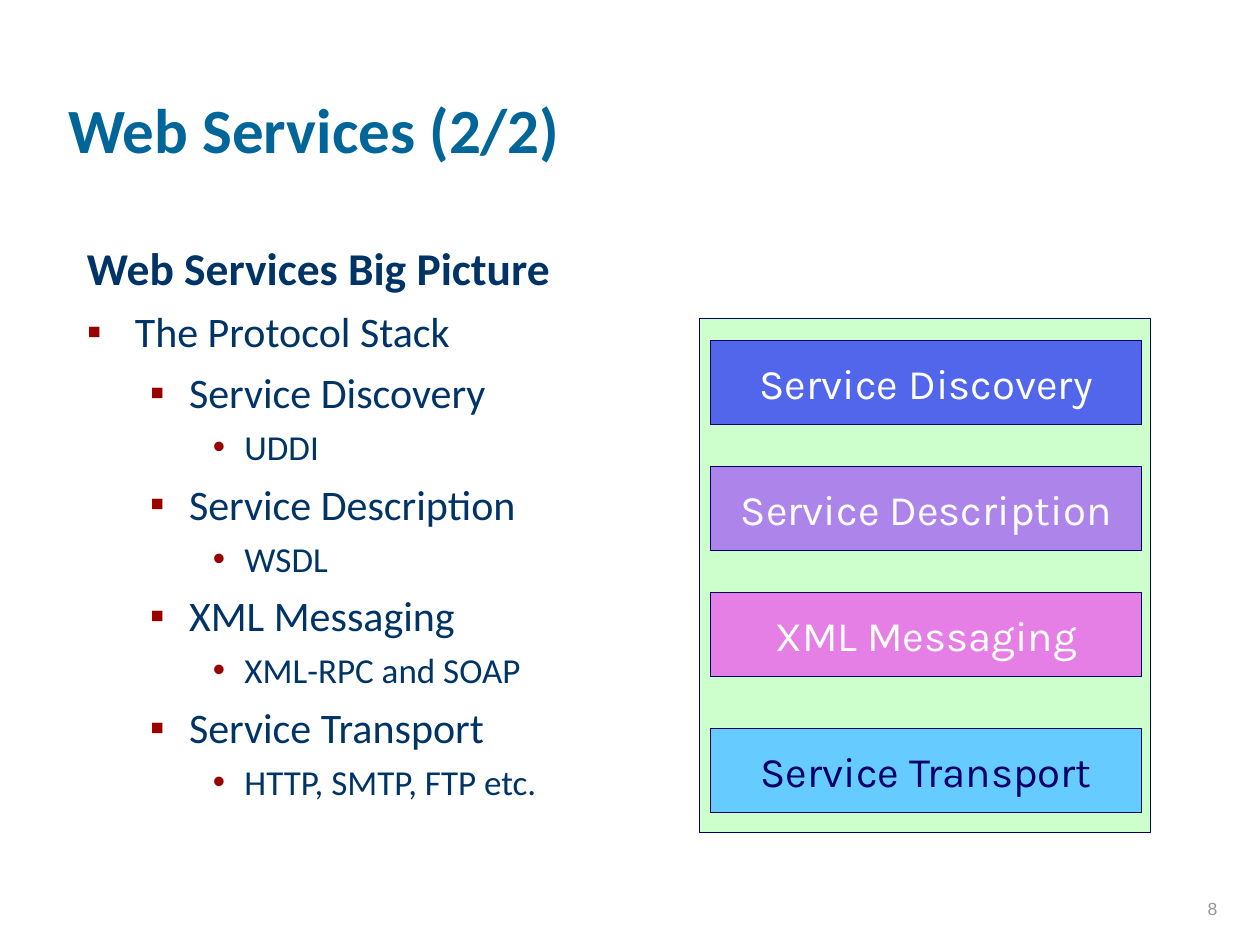
import pptx
import pptx.dml.color
import pptx.enum.shapes
import pptx.enum.text
import pptx.oxml.ns
import pptx.util
from lxml import etree
from pptx.util import Inches, Pt

ALIGN = pptx.enum.text.PP_ALIGN
ANCHOR = pptx.enum.text.MSO_ANCHOR
RECTANGLE = pptx.enum.shapes.MSO_SHAPE.RECTANGLE
qn = pptx.oxml.ns.qn


def color(value):
    return pptx.dml.color.RGBColor.from_string(value)


def style(para, size, font, value, bold=False):
    """Format every run of a paragraph."""
    for span in para.runs:
        span.font.size = Pt(size)
        span.font.name = font
        span.font.color.rgb = color(value)
        span.font.bold = bold


deck = pptx.Presentation()
deck.slide_width, deck.slide_height = Inches(10), Inches(7.5)
page = deck.slides.add_slide(deck.slide_layouts[1])

# Title
title = page.shapes.title
title.left, title.top = Inches(0.44), Inches(0.12)
title.width, title.height = Inches(8.5), Inches(1.25)
title.text_frame.text = "Web Services (2/2)"
title.text_frame.vertical_anchor = ANCHOR.BOTTOM
title.text_frame.auto_size = pptx.enum.text.MSO_AUTO_SIZE.NONE
title.text_frame.paragraphs[0].alignment = ALIGN.LEFT
style(title.text_frame.paragraphs[0], 36, "Calibri", "006699", True)

# Outline: level, text, size, space before, margin, hanging indent, bullet
heading = (0, 26, 6.5, 0.38, 0.38, None)
topic = (0, 24, 6, 0.38, 0.38, "▪")
layer = (1, 24, 6, 0.81, 0.31, "▪")
protocol = (2, 20, 5, 1.25, 0.25, "•")
outline = [
    ("Web Services Big Picture", heading),
    ("The Protocol Stack", topic),
    ("Service Discovery", layer),
    ("UDDI", protocol),
    ("Service Description", layer),
    ("WSDL", protocol),
    ("XML Messaging", layer),
    ("XML-RPC and SOAP", protocol),
    ("Service Transport", layer),
    ("HTTP, SMTP, FTP etc.", protocol),
]
body = page.placeholders[1]
body.left, body.top = Inches(0.59), Inches(1.75)
body.width, body.height = Inches(5.11), Inches(4.88)
body.text_frame.text = "\n".join(text for text, kind in outline)
body.text_frame.auto_size = pptx.enum.text.MSO_AUTO_SIZE.NONE
for para, (text, kind) in zip(body.text_frame.paragraphs, outline):
    level, size, space, margin, hanging, bullet = kind
    para.level = level
    para.space_before = Pt(space)
    para.line_spacing = 1.0 if bullet else 1.25
    style(para, size, "Calibri", "003366", not bullet)
    properties = para._p.get_or_add_pPr()
    properties.set("marL", str(Inches(margin)))
    properties.set("indent", str(-Inches(hanging)))
    if bullet:
        bullet_color = etree.SubElement(properties, qn("a:buClr"))
        etree.SubElement(bullet_color, qn("a:srgbClr"), val="990000")
        etree.SubElement(properties, qn("a:buFont"), typeface="Arial")
        etree.SubElement(properties, qn("a:buChar"), char=bullet)
    else:
        etree.SubElement(properties, qn("a:buNone"))

# Protocol stack: top, height, left, width, fill, opacity, text, text colour
boxes = [
    (5.55, 2.53, 3.58, 4.08, "CCFFCC", 100, "", "000066"),
    (5.64, 2.7, 3.42, 0.67, "0000FF", 60, "Service Discovery", "FFFFFF"),
    (5.64, 3.7, 3.42, 0.67, "9933FF", 60, "Service Description", "FFFFFF"),
    (5.64, 4.7, 3.42, 0.67, "FF00FF", 50, "XML Messaging", "FFFFFF"),
    (5.64, 5.78, 3.42, 0.67, "66CCFF", 100, "Service Transport", "000066"),
]
for left, top, width, height, fill, opacity, text, ink in boxes:
    box = page.shapes.add_shape(
        RECTANGLE, Inches(left), Inches(top), Inches(width), Inches(height))
    box.shadow.inherit = False
    box.fill.solid()
    box.fill.fore_color.rgb = color(fill)
    if opacity < 100:
        fill_color = box._element.spPr.find(qn("a:solidFill"))[0]
        etree.SubElement(fill_color, qn("a:alpha"), val=str(opacity * 1000))
    box.line.color.rgb = color("000066")
    box.line.width = Pt(0.75)
    if text:
        box.text_frame.text = text
        box.text_frame.word_wrap = False
        box.text_frame.vertical_anchor = ANCHOR.MIDDLE
        box.text_frame.paragraphs[0].alignment = ALIGN.CENTER
        style(box.text_frame.paragraphs[0], 24, "Karla", ink)

# Page number
number = page.shapes.add_textbox(
    Inches(7.68), Inches(6.84), Inches(2.08), Inches(0.5))
number.text_frame.text = "8"
number.text_frame.word_wrap = True
number.text_frame.vertical_anchor = ANCHOR.BOTTOM
number.text_frame.paragraphs[0].alignment = ALIGN.RIGHT
style(number.text_frame.paragraphs[0], 10, "Arial", "969696")

deck.save("out.pptx")
